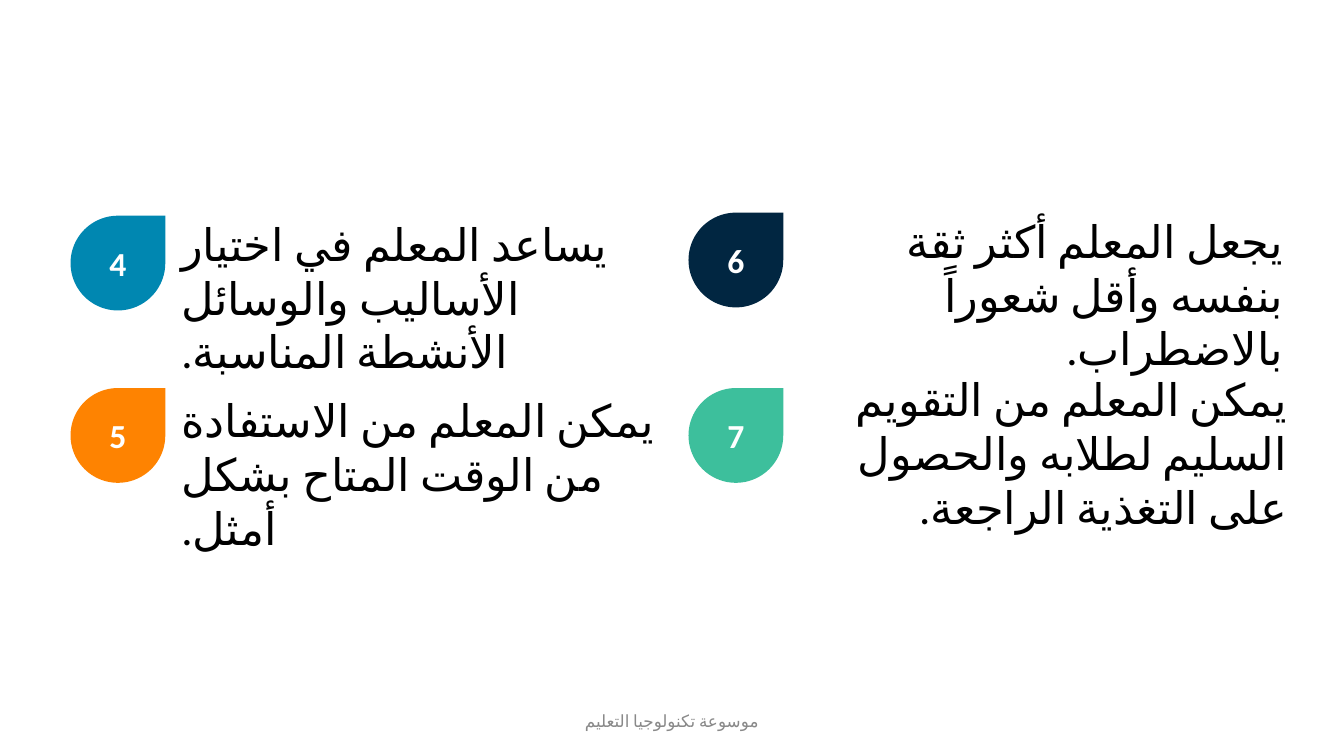
from lxml import etree
from pptx import Presentation
from pptx.dml.color import RGBColor
from pptx.enum import lang, shapes, text
from pptx.oxml import ns
from pptx.util import Pt

COLORS = {
    "blue": "0087B1", "orange": "FE8301", "navy": "012641", "green": "3DBF9C",
    "white": "FFFFFF", "black": "000000", "grey": "898989",
}
FONT = "Calibri"
DROP_SIZE = 67.7
LEFT_COLUMN, RIGHT_COLUMN = 50.4, 491.8
LEFT, RIGHT, CENTER = text.PP_ALIGN.LEFT, text.PP_ALIGN.RIGHT, text.PP_ALIGN.CENTER

# number, colour, drop (left, top), statement offset from drop, statement size, alignment, statement
BENEFITS = [
    ("4", "blue", (LEFT_COLUMN, 154.1), (72, -2.9), (365.8, 85), LEFT,
     "يساعد المعلم في اختيار الأساليب والوسائل الأنشطة المناسبة."),
    ("5", "orange", (LEFT_COLUMN, 277.2), (72, 0), (352.1, 85), LEFT,
     "يمكن المعلم من الاستفادة من الوقت المتاح بشكل أمثل."),
    ("6", "navy", (RIGHT_COLUMN, 151.9), (72, -2.9), (360, 85), RIGHT,
     "يجعل المعلم أكثر ثقة بنفسه وأقل شعوراً بالاضطراب."),
    ("7", "green", (RIGHT_COLUMN, 277.2), (67.7, -15.1), (367.2, 123.8), RIGHT,
     "يمكن المعلم من التقويم السليم لطلابه والحصول على التغذية الراجعة."),
]


def rgb(color):
    return RGBColor.from_string(COLORS[color])


def write(frame, words, size, color, align, bold=False, rtl=False):
    frame.word_wrap = True
    paragraph = frame.paragraphs[0]
    paragraph.text = words
    paragraph.alignment = align
    font = paragraph.font
    font.size, font.bold, font.name = Pt(size), bold, FONT
    font.color.rgb = rgb(color)
    # The language of the run decides which Arabic letterforms are chosen
    paragraph.runs[0].font.language_id = lang.MSO_LANGUAGE_ID.ARABIC
    properties = paragraph._p.get_or_add_pPr()
    if rtl:
        properties.set("rtl", "1")
    # Arabic letters take their typeface from the complex-script setting
    defaults = properties.find(ns.qn("a:defRPr"))
    etree.SubElement(defaults, ns.qn("a:cs")).set("typeface", FONT)


def add_text(slide, box, *args, **kwargs):
    frame = slide.shapes.add_textbox(*map(Pt, box)).text_frame
    write(frame, *args, **kwargs)
    return frame


def add_benefit(slide, number, color, corner, offset, size, align, statement):
    """Numbered drop with its statement placed relative to the drop's corner."""
    left, top = corner
    drop = slide.shapes.add_shape(
        shapes.MSO_SHAPE.TEAR, Pt(left), Pt(top), Pt(DROP_SIZE), Pt(DROP_SIZE))
    drop.shadow.inherit = False
    drop.fill.solid()
    drop.fill.fore_color.rgb = rgb(color)
    drop.line.fill.background()
    drop.text_frame.vertical_anchor = text.MSO_ANCHOR.MIDDLE
    write(drop.text_frame, number, 24, "white", CENTER, bold=True)

    box = (left + offset[0], top + offset[1], *size)
    frame = add_text(slide, box, statement, 32, "black", align, rtl=True)
    frame.auto_size = text.MSO_AUTO_SIZE.SHAPE_TO_FIT_TEXT


def add_footer(slide, box):
    frame = add_text(slide, box, "موسوعة تكنولوجيا التعليم", 12, "grey", CENTER)
    frame.vertical_anchor = text.MSO_ANCHOR.MIDDLE


def main():
    deck = Presentation()
    deck.slide_width, deck.slide_height = Pt(960), Pt(540)
    slide = deck.slides.add_slide(deck.slide_layouts[6])
    for benefit in BENEFITS:
        add_benefit(slide, *benefit)
    add_footer(slide, (318, 500.5, 324, 28.8))
    deck.save("out.pptx")


if __name__ == "__main__":
    main()
